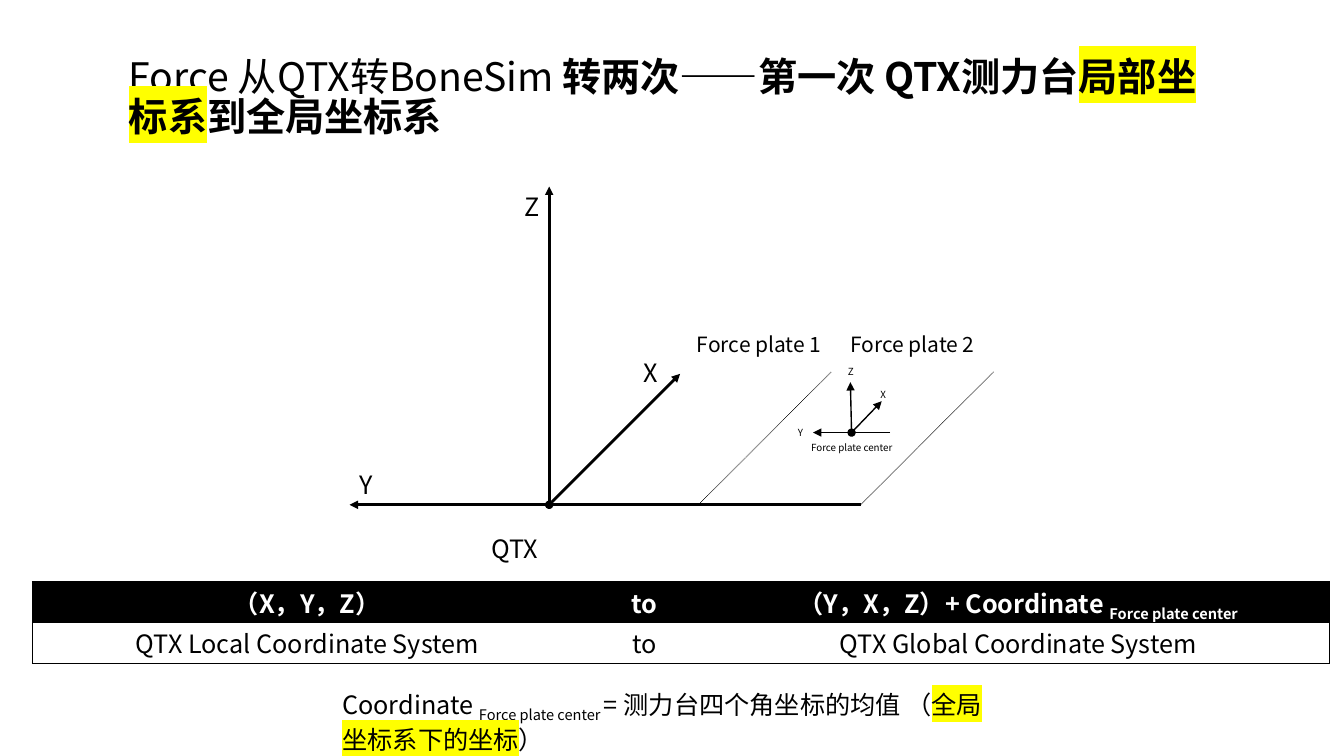
from lxml.etree import SubElement
from pptx import Presentation
from pptx.dml.color import RGBColor
from pptx.enum.dml import MSO_LINE
from pptx.enum.shapes import MSO_CONNECTOR
from pptx.enum.text import MSO_ANCHOR, PP_ALIGN
from pptx.oxml.ns import qn
from pptx.util import Cm, Pt

FONT = "Noto Sans CJK SC"
BLACK, WHITE, YELLOW = "000000", "FFFFFF", "FFFF00"


def paint(hex_color):
    return RGBColor.from_string(hex_color)


def add_span(para, text, size=18, color=BLACK, bold=False, highlight=None, baseline=0):
    span = para.add_run()
    span.text = text
    font = span.font
    font.size, font.bold, font.name = Pt(size), bold, FONT
    font.color.rgb = paint(color)
    properties = span._r.get_or_add_rPr()
    SubElement(properties, qn("a:ea"), typeface=FONT)
    if baseline:
        properties.set("baseline", str(baseline * 1000))
    if highlight:
        mark = SubElement(properties, qn("a:highlight"))
        SubElement(mark, qn("a:srgbClr"), val=highlight)
        properties.find(qn("a:solidFill")).addnext(mark)


def add_box(shapes, left, top, width, height):
    """Add an empty wrapping text box and return its text frame."""
    frame = shapes.add_textbox(Cm(left), Cm(top), Cm(width), Cm(height)).text_frame
    frame.word_wrap = True
    return frame


def add_label(shapes, text, left, top, width, height, size=18, align=PP_ALIGN.CENTER):
    para = add_box(shapes, left, top, width, height).paragraphs[0]
    para.alignment = align
    add_span(para, text, size=size)


def add_line(shapes, start, end, width=2, head=None, tail=None, dash=None):
    line = shapes.add_connector(MSO_CONNECTOR.STRAIGHT, *map(Cm, start + end))
    line.line.color.rgb = paint(BLACK)
    line.line.width = Pt(width)
    if dash:
        line.line.dash_style = dash
    outline = line.line._get_or_add_ln()
    for tag, kind in (("a:headEnd", head), ("a:tailEnd", tail)):
        if kind:
            SubElement(outline, qn(tag), type=kind)
    SubElement(line._element.spPr, qn("a:effectLst"))


def add_title(page, left, top, width, height):
    frame = add_box(page.shapes, left, top, width, height)
    frame.vertical_anchor = MSO_ANCHOR.MIDDLE
    para = frame.paragraphs[0]
    para.line_spacing = 0.85
    add_span(para, "Force 从QTX转BoneSim ", size=28)
    add_span(para, "转两次——第一次 QTX测力台", size=28, bold=True)
    add_span(para, "局部坐标系", size=28, bold=True, highlight=YELLOW)
    add_span(para, "到全局坐标系", size=28, bold=True)


def add_plate_axes(shapes, x, y):
    """Draw the small axes of a force plate around its center."""
    add_line(shapes, (x, y), (x + 0.76, y - 0.79), 1, head="oval", tail="triangle")
    add_line(shapes, (x + 0.97, y), (x - 0.97, y), 1, tail="triangle")
    add_line(shapes, (x, y), (x - 0.03, y - 1.27), 1, tail="triangle")
    for text, shift, rise in (("X", -0.08, 1.22), ("Y", -2.16, 0.28), ("Z", -0.89, 1.8)):
        add_label(shapes, text, x + shift, y - rise, 1.75, 0.56, size=7)
    add_label(shapes, "Force plate center", x - 1.57, y + 0.1, 3.15, 0.56, size=7)


def add_diagram(page, left, top, width, height):
    shapes = page.shapes.add_group_shape().shapes
    depth = 3.35
    floor = top + 8.02
    plate_edge = left + width - depth
    origin = (left + 5.03, floor)

    add_line(shapes, (plate_edge, floor), (left, floor), tail="triangle")
    add_line(shapes, origin, (origin[0], top), tail="triangle")
    add_line(shapes, origin, (origin[0] + 3.3, floor - 3.3), head="oval", tail="triangle")
    for text, shift, drop in (("X", 7.16, 4.17), ("Y", 0, 7.01), ("Z", 4.17, 0)):
        add_label(shapes, text, left + shift, top + drop, 1.75, 1.02, align=PP_ALIGN.LEFT)
    add_label(shapes, "QTX", left + 0.64, top + height - 1.02, 7.04, 1.02)

    for number, edge, name_left in ((1, plate_edge - 4.09, 8.33), (2, plate_edge, 12.19)):
        add_line(shapes, (edge, floor), (edge + depth, floor - depth), 0.5,
                 dash=MSO_LINE.ROUND_DOT)
        add_label(shapes, f"Force plate {number}", left + name_left, top + 3.53,
                  3.99, 0.89, size=15)
    add_plate_axes(shapes, left + 12.65, top + 6.2)


def set_borders(cell, visible):
    """Draw black borders on the sides in visible and none on the others."""
    properties = cell._tc.get_or_add_tcPr()
    for side in "LRTB":
        border = SubElement(properties, qn(f"a:ln{side}"), w=str(Pt(0.5)))
        if side in visible:
            SubElement(SubElement(border, qn("a:solidFill")), qn("a:srgbClr"), val=BLACK)
        else:
            SubElement(border, qn("a:noFill"))


def add_transform_table(page, left, top, width, height):
    rows = (
        ("（X，Y，Z）", "to", "（Y，X，Z）+ Coordinate "),
        ("QTX Local Coordinate System", "to", "QTX Global Coordinate System"),
    )
    table = page.shapes.add_table(2, 3, Cm(left), Cm(top), Cm(width), Cm(height)).table
    table.horz_banding = False
    for column, share in zip(table.columns, (0.424, 0.096, 0.48)):
        column.width = Cm(width * share)
    for row_index, texts in enumerate(rows):
        header = row_index == 0
        color = WHITE if header else BLACK
        for column_index, text in enumerate(texts):
            cell = table.cell(row_index, column_index)
            cell.margin_top = cell.margin_bottom = Cm(0.05)
            set_borders(cell, ("L", "", "R")[column_index] + ("T" if header else "TB"))
            cell.fill.solid()
            cell.fill.fore_color.rgb = paint(BLACK if header else WHITE)
            para = cell.text_frame.paragraphs[0]
            para.alignment = PP_ALIGN.CENTER
            add_span(para, text, color=color, bold=header)
    add_span(table.cell(0, 2).text_frame.paragraphs[0], "Force plate center",
             color=WHITE, bold=True, baseline=-25)


def add_definition(page, left, top, width, height):
    para = add_box(page.shapes, left, top, width, height).paragraphs[0]
    add_span(para, "Coordinate ")
    add_span(para, "Force plate center ", baseline=-25)
    add_span(para, "= 测力台四个角坐标的均值 （")
    add_span(para, "全局坐标系下的坐标", highlight=YELLOW)
    add_span(para, "）")


def main():
    deck = Presentation()
    deck.slide_width, deck.slide_height = Cm(33.87), Cm(19.05)
    page = deck.slides.add_slide(deck.slide_layouts[6])
    add_diagram(page, 8.81, 4.7, 16.23, 9.63)
    add_transform_table(page, 0.81, 14.66, 32.7, 2.06)
    add_definition(page, 8.38, 17.25, 16.94, 1.8)
    add_title(page, 3, 1.19, 27.84, 2.64)
    deck.save("out.pptx")


if __name__ == "__main__":
    main()
